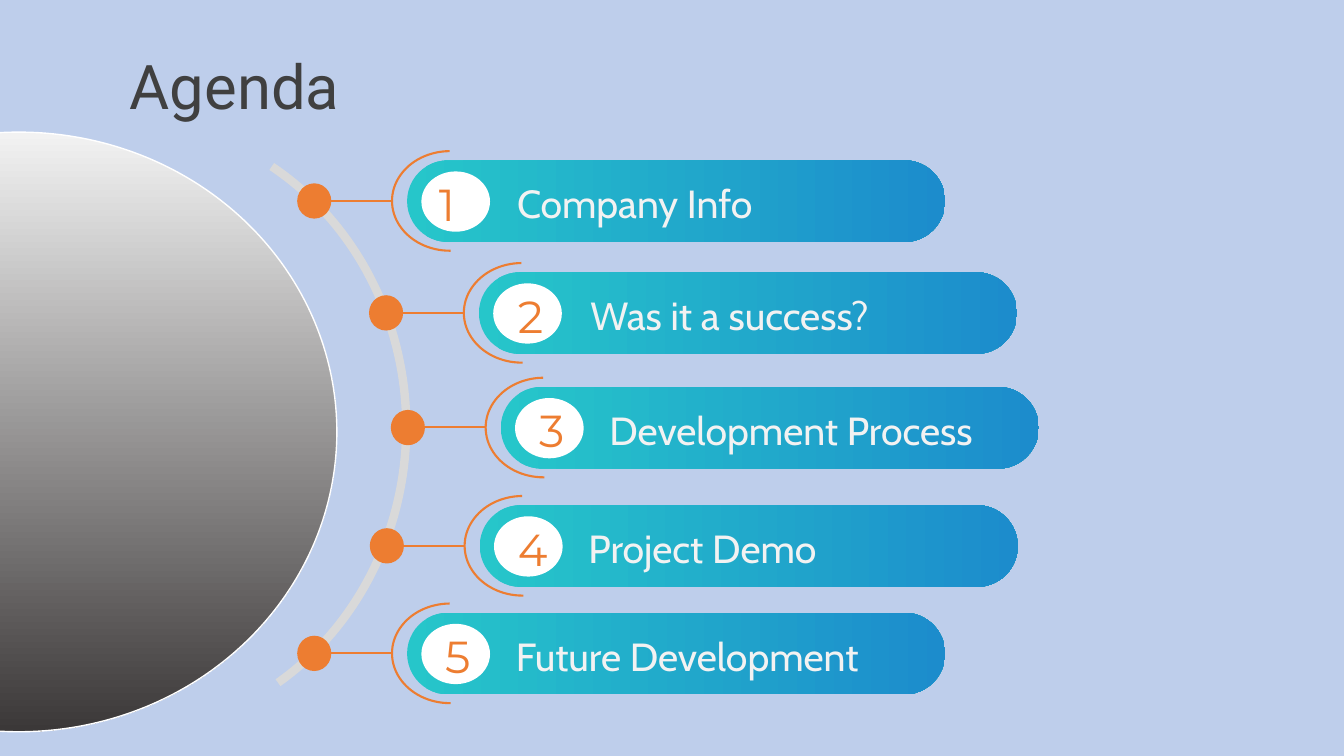
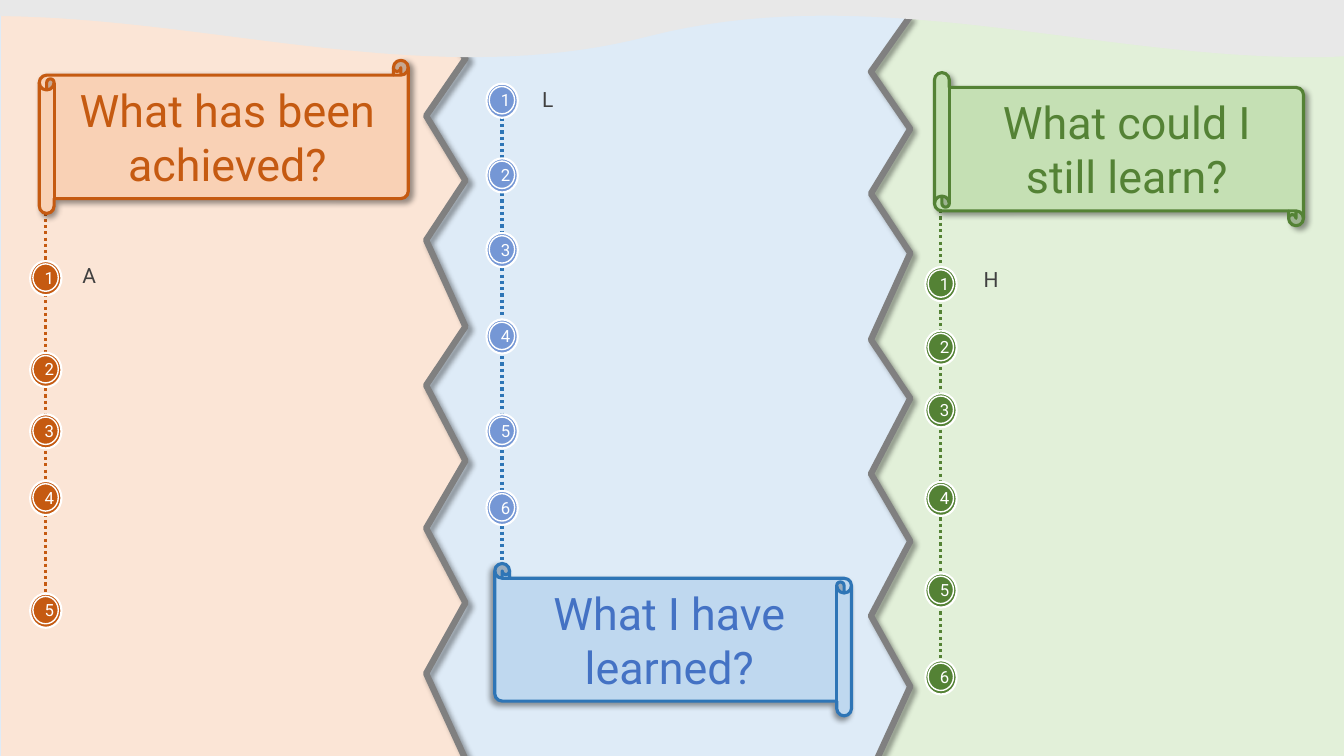
from dataclasses import dataclass
from typing import Tuple

from lxml.etree import SubElement
from pptx import Presentation
from pptx.dml.color import RGBColor
from pptx.enum.dml import MSO_LINE
from pptx.enum.shapes import MSO_CONNECTOR, MSO_SHAPE as Preset
from pptx.enum.text import MSO_ANCHOR as Anchor, PP_ALIGN as Align
from pptx.oxml.ns import qn
from pptx.util import Cm, Pt

WIDTH, HEIGHT = 33.87, 19.05
HEADING_FONT, LABEL_FONT, NUMBER_FONT = "Roboto", "Cabin", "Montserrat"
WHITE, DARK, PALE, GREY, ARC_GREY = "FFFFFF", "404040", "F2F2F2", "808080", "D9D9D9"
ORANGE, TEAL, BLUE = "ED7D31", "26C6CA", "1C8CCC"
AGENDA_BACK, LEARNING_BACK = "BECEEB", "DEEBF7"
PEACH, MINT, WAVE = "FBE5D6", "E2F0D9", "E8E8E8"

AGENDA = [
    (10.26, 4.04, 10.77, 12.78, "Company Info"),
    (12.07, 6.86, 12.80, 14.63, "Was it a success?"),
    (12.62, 9.75, 13.34, 15.11, "Development Process"),
    (12.09, 12.73, 12.80, 14.58, "Project Demo"),
    (10.26, 15.44, 10.97, 12.75, "Future Development"),
]
TEAR_STEPS = (0, 1.4, 2.84, 4.47, 5.97, 8.15, 9.63, 11.53, 13.23, 15.11, 16.89, 19.05)
WAVE_CURVES = [
    ((35.43, 1.3), (29.08, 2.08), (22.73, -0.71), (16.36, 0.91)),
    ((16.36, 0.91), (10.67, 2.39), (4.98, 0.28), (-0.74, 0.41)),
]


@dataclass
class Column:
    """A timeline with its scroll heading."""
    heading: str
    scroll: Tuple
    flip: str
    shadow_angle: int
    paper: str
    ink: str
    heading_color: str
    badge_color: str
    badge_left: float
    badge_tops: Tuple
    line_span: Tuple
    letter: str
    letter_place: Tuple


COLUMNS = [
    Column("What has been achieved?", (0.99, 1.52, 9.3, 3.86), "", 45,
           "F9D1B5", "C55A11", "C55A11", "C55A11", 0.76,
           (6.58, 8.89, 10.44, 12.12, 14.96), (2.67, 15.72), "A", (1.83, 6.48)),
    Column("What I have learned?", (12.47, 14.2, 8.99, 3.84), "flipH", 135,
           "BFD8EF", "2E75B6", "4472C4", "7597D5", 12.26,
           (2.11, 3.99, 5.87, 8.05, 10.44, 12.37), (2.18, 14.4), "L", (13.41, 2.06)),
    Column("What could I still learn?", (23.55, 1.83, 9.3, 3.86), "flipV", 45,
           "C5E0B4", "548235", "548235", "548235", 23.32,
           (6.73, 8.33, 9.91, 12.14, 14.45, 16.64), (4.98, 17.27), "H", (24.54, 6.6)),
]


def color(value):
    """Turn a hex string into a colour."""
    return RGBColor.from_string(value)


def add_slide(presentation, background):
    """Add a blank slide with a plain background."""
    slide = presentation.slides.add_slide(presentation.slide_layouts[6])
    slide.background.fill.solid()
    slide.background.fill.fore_color.rgb = color(background)
    return slide


def paint(shape, fill=None, line=None, weight=1):
    """Set the fill and outline and remove the shadow."""
    shape.shadow.inherit = False
    if fill:
        shape.fill.solid()
        shape.fill.fore_color.rgb = color(fill)
    else:
        shape.fill.background()
    if line:
        shape.line.color.rgb = color(line)
        shape.line.width = Pt(weight)
    else:
        shape.line.fill.background()


def add_preset(slide, preset, place, fill=None, line=None, weight=1):
    """Add a painted preset shape."""
    shape = slide.shapes.add_shape(preset, *map(Cm, place))
    paint(shape, fill, line, weight)
    return shape


def add_gradient(shape, first, last, angle):
    """Fill a shape with a gradient of two colours."""
    shape.fill.gradient()
    shape.fill.gradient_angle = angle
    for stop, value in zip(shape.fill.gradient_stops, (first, last)):
        stop.color.rgb = color(value)


def add_shadow(shape, angle=45):
    """Give a shape a soft outer shadow."""
    effects = shape.element.spPr.find(qn("a:effectLst"))
    shadow = SubElement(effects, qn("a:outerShdw"), blurRad=str(Pt(4)), dist=str(Pt(3)),
                        dir=str(angle * 60000), algn="tl", rotWithShape="0")
    tint = SubElement(shadow, qn("a:srgbClr"), val="000000")
    SubElement(tint, qn("a:alpha"), val="40000")


def add_arc(slide, place, start, end, line, weight):
    """Add an arc between two angles in degrees."""
    arc = add_preset(slide, Preset.ARC, place, None, line, weight)
    arc.adjustments[0], arc.adjustments[1] = start * 0.6, end * 0.6


def add_line(slide, start, end, line, weight, dash=None):
    """Add a straight line without a shadow."""
    connector = slide.shapes.add_connector(MSO_CONNECTOR.STRAIGHT, *map(Cm, start + end))
    connector.line.color.rgb = color(line)
    connector.line.width = Pt(weight)
    if dash:
        connector.line.dash_style = dash
    SubElement(connector.element.spPr, qn("a:effectLst"))


def add_outline(slide, points, fill=None, line=None, weight=1, close=True):
    """Add a freeform through the given points."""
    places = [(Cm(x), Cm(y)) for x, y in points]
    builder = slide.shapes.build_freeform(*places[0])
    builder.add_line_segments(places[1:], close=close)
    shape = builder.convert_to_shape()
    paint(shape, fill, line, weight)
    return shape


def write(shape, text, size, font, ink, align=Align.LEFT, anchor=Anchor.TOP):
    """Write one run of text into a shape."""
    frame = shape.text_frame
    frame.word_wrap = True
    frame.vertical_anchor = anchor
    paragraph = frame.paragraphs[0]
    paragraph.alignment = align
    run = paragraph.add_run()
    run.text = text
    run.font.size = Pt(size)
    run.font.name = font
    run.font.color.rgb = color(ink)


def add_text(slide, place, *style):
    """Add a text box."""
    write(slide.shapes.add_textbox(*map(Cm, place)), *style)


def add_agenda_item(slide, number, left, top, number_left, label_left, label):
    """Add a numbered pill with its dot, link and arc."""
    pill = add_preset(slide, Preset.ROUNDED_RECTANGLE, (left, top, 13.56, 2.06))
    pill.adjustments[0] = 0.5
    add_gradient(pill, TEAL, BLUE, 0)
    add_text(slide, (label_left, top + 0.36, 10.19, 1.45), label, 28, LABEL_FONT, PALE)
    add_preset(slide, Preset.OVAL, (left + 0.36, top + 0.28, 1.73, 1.52), WHITE)
    add_text(slide, (number_left, top + 0.28, 0.99, 1.63),
             str(number), 32, NUMBER_FONT, ORANGE, Align.CENTER)
    add_preset(slide, Preset.OVAL, (left - 2.77, top + 0.58, 0.86, 0.89), ORANGE)
    middle = top + 1.02
    add_line(slide, (left - 1.93, middle), (left - 0.38, middle), ORANGE, 1.5)
    add_arc(slide, (left - 0.38, top - 0.23, 2.92, 2.51), 89.13, 269.53, ORANGE, 1.5)


def torn_edge(start, turn, top):
    """Return the zigzag points of a torn edge."""
    return [(turn if index % 2 else start, top + step)
            for index, step in enumerate(TEAR_STEPS)]


def add_torn_panel(slide, edge, side, fill):
    """Add a panel from a torn edge to a side of the slide."""
    add_outline(slide, edge + [(side, edge[-1][1]), (side, edge[0][1])], fill)
    tear = add_outline(slide, edge, None, GREY, 4.5, close=False)
    add_shadow(tear)


def curve_point(curve, t):
    """Return the point at t on a cubic curve, kept within the slide."""
    weights = ((1 - t) ** 3, 3 * t * (1 - t) ** 2, 3 * t * t * (1 - t), t ** 3)
    x, y = (sum(w * point[axis] for w, point in zip(weights, curve)) for axis in (0, 1))
    return min(max(x, 0), WIDTH), y


def add_wave(slide, steps=40):
    """Add the wavy band along the top."""
    points = [curve_point(curve, step / steps)
              for curve in WAVE_CURVES for step in range(steps + 1)]
    add_outline(slide, [(0, 0), (WIDTH, 0)] + points, WAVE)


def add_scroll(slide, column):
    """Add the scroll that holds a column heading."""
    scroll = add_preset(slide, Preset.HORIZONTAL_SCROLL, column.scroll,
                        column.paper, column.ink, 2.25)
    scroll.adjustments[0] = 0.097
    add_shadow(scroll, column.shadow_angle)
    if column.flip:
        scroll.element.spPr.get_or_add_xfrm().set(column.flip, "1")
    style = (column.heading, 32, HEADING_FONT, column.heading_color, Align.CENTER)
    if column.flip == "flipV":
        left, top = column.scroll[:2]
        add_text(slide, (left + 0.86, top + 0.43, 7.98, 3), *style)
    else:
        write(scroll, *style, Anchor.MIDDLE)


def add_badge(slide, left, top, number, fill):
    """Add a double-ringed number."""
    add_preset(slide, Preset.OVAL, (left, top, 0.79, 0.86), fill, WHITE, 1.5)
    disc = add_preset(slide, Preset.OVAL, (left + 0.07, top + 0.07, 0.64, 0.69), fill, WHITE)
    write(disc, str(number), 12, HEADING_FONT, WHITE, Align.CENTER, Anchor.MIDDLE)


def add_column(slide, column):
    """Add a dotted timeline with its scroll and badges."""
    x = column.badge_left + 0.39
    start, end = column.line_span
    add_line(slide, (x, start), (x, end), column.ink, 2.25, MSO_LINE.ROUND_DOT)
    add_scroll(slide, column)
    for number, top in enumerate(column.badge_tops, 1):
        add_badge(slide, column.badge_left, top, number, column.badge_color)
    add_text(slide, column.letter_place + (8.5, 1), column.letter, 15, HEADING_FONT, DARK)


def build_agenda(presentation):
    """Build the agenda slide."""
    slide = add_slide(presentation, AGENDA_BACK)
    globe = add_preset(slide, Preset.OVAL, (-7.54, 3.33, 16.03, 15.11), None, WHITE)
    add_gradient(globe, PALE, "3B3838", 270)
    add_text(slide, (3.02, 0.3, 29.21, 3.68), "Agenda", 44, HEADING_FONT, DARK,
             Align.LEFT, Anchor.MIDDLE)
    add_arc(slide, (-4.19, 3.02, 14.43, 15.47), 300.25, 58.3, ARC_GREY, 6)
    for number, item in enumerate(AGENDA, 1):
        add_agenda_item(slide, number, *item)


def build_learning(presentation):
    """Build the slide with three torn panels."""
    slide = add_slide(presentation, LEARNING_BACK)
    add_torn_panel(slide, torn_edge(22.94, 21.95, 0.41), WIDTH, MINT)
    add_torn_panel(slide, torn_edge(10.74, 11.73, 0.08), 0.03, PEACH)
    add_wave(slide)
    for column in COLUMNS:
        add_column(slide, column)


def main():
    """Build and save the presentation."""
    presentation = Presentation()
    presentation.slide_width, presentation.slide_height = Cm(WIDTH), Cm(HEIGHT)
    build_agenda(presentation)
    build_learning(presentation)
    presentation.save("out.pptx")


if __name__ == "__main__":
    main()
